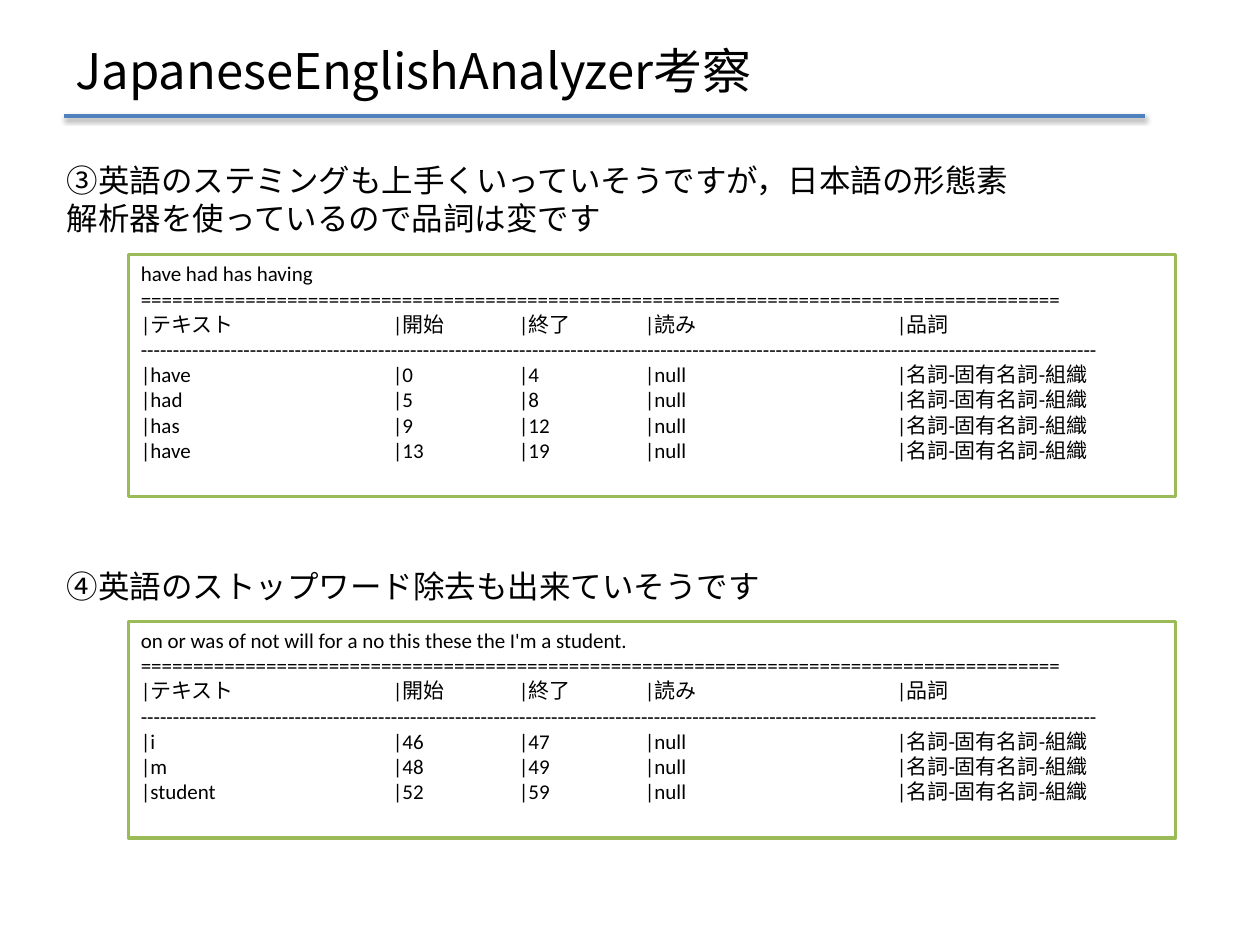
from dataclasses import dataclass

from lxml.etree import SubElement
from pptx import Presentation
from pptx.dml.color import RGBColor
from pptx.enum.shapes import MSO_CONNECTOR, MSO_SHAPE
from pptx.enum.text import MSO_ANCHOR, PP_ALIGN
from pptx.oxml.ns import qn
from pptx.util import Pt


@dataclass(frozen=True)
class Theme:
    """Hold the colours, fonts and type sizes."""
    ink: str = "000000"
    paper: str = "FFFFFF"
    rule: str = "4F81BD"
    frame: str = "9BBB59"
    latin: str = "Calibri"
    asian: str = "Noto Sans CJK JP"
    title: int = 28
    head: int = 18
    body: int = 12
    stroke: int = 2


def color(code):
    """Turn a hex code into a colour."""
    return RGBColor.from_string(code)


def write(frame, text, *, size, font, asian, ink, anchor=MSO_ANCHOR.TOP, tabs=()):
    """Fill a text frame with one paragraph per line of text."""
    frame.word_wrap = True
    frame.vertical_anchor = anchor
    for num, line in enumerate(text.split("\n")):
        para = frame.paragraphs[0] if num == 0 else frame.add_paragraph()
        para.alignment = PP_ALIGN.LEFT
        run = para.add_run()
        run.text = line
        run.font.size = Pt(size)
        run.font.name = font
        run.font.color.rgb = color(ink)
        SubElement(run.font._element, qn("a:ea"), typeface=asian)
        if tabs:
            stops = SubElement(para._p.get_or_add_pPr(), qn("a:tabLst"))
            for stop in tabs:
                SubElement(stops, qn("a:tab"), pos=str(Pt(stop)), algn="l")


class Deck:
    """Draw styled parts on the current slide."""

    def __init__(self, show, theme):
        """Add a blank slide and keep the theme."""
        self.slide = show.slides.add_slide(show.slide_layouts[6])
        self.theme = theme

    def text(self, words, left, top, width, height, **style):
        """Add a text box."""
        box = self.slide.shapes.add_textbox(Pt(left), Pt(top), Pt(width), Pt(height))
        write(box.text_frame, words, asian=self.theme.asian, ink=self.theme.ink, **style)

    def rule(self, left, right, top):
        """Add a level line with a soft shadow."""
        line = self.slide.shapes.add_connector(
            MSO_CONNECTOR.STRAIGHT, Pt(left), Pt(top), Pt(right), Pt(top))
        line.line.color.rgb = color(self.theme.rule)
        line.line.width = Pt(self.theme.stroke)
        effects = SubElement(line._element.spPr, qn("a:effectLst"))
        shade = SubElement(effects, qn("a:outerShdw"), blurRad=str(Pt(3.1)),
                           dist=str(Pt(1.6)), dir="5400000", rotWithShape="0")
        tint = SubElement(shade, qn("a:srgbClr"), val=self.theme.ink)
        SubElement(tint, qn("a:alpha"), val="38000")

    def panel(self, words, left, top, width, height, tabs):
        """Add a framed panel of tabbed text."""
        box = self.slide.shapes.add_shape(
            MSO_SHAPE.RECTANGLE, Pt(left), Pt(top), Pt(width), Pt(height))
        box.shadow.inherit = False
        box.fill.solid()
        box.fill.fore_color.rgb = color(self.theme.paper)
        box.line.color.rgb = color(self.theme.frame)
        box.line.width = Pt(self.theme.stroke)
        write(box.text_frame, words, size=self.theme.body, font=self.theme.latin,
              asian=self.theme.asian, ink=self.theme.ink, tabs=tabs)

    def result(self, head, top, height, query, rows):
        """Add a heading with its token listing below."""
        self.text(head, 31, top, 561.6, height,
                  size=self.theme.head, font=self.theme.latin)
        lines = [query, "=" * 88, "|テキスト\t|開始\t|終了\t|読み\t|品詞", "-" * 149]
        lines += [f"|{word}\t|{start}\t|{end}\t|null\t|名詞-固有名詞-組織"
                  for word, start, end in rows]
        self.panel("\n".join(lines), 73.4, top + height + 6, 598.3,
                   8.6 + 14.4 * (len(lines) + 1), tabs=(144, 216, 288, 432))


def main():
    """Build and save the slide."""
    show = Presentation()
    show.slide_width, show.slide_height = Pt(720), Pt(540)
    theme = Theme()
    deck = Deck(show, theme)
    deck.text("JapaneseEnglishAnalyzer考察", 36, 15, 588, 50,
              size=theme.title, font=theme.asian, anchor=MSO_ANCHOR.MIDDLE)
    deck.rule(36.7, 654.5, 66.2)
    deck.result(
        "③英語のステミングも上手くいっていそうですが，日本語の形態素解析器を使っているので品詞は変です",
        88.5, 51, "have had has having",
        [("have", 0, 4), ("had", 5, 8), ("has", 9, 12), ("have", 13, 19)])
    deck.result(
        "④英語のストップワード除去も出来ていそうです",
        320.2, 28.8, "on or was of not will for a no this these the I'm a student.",
        [("i", 46, 47), ("m", 48, 49), ("student", 52, 59)])
    show.save("out.pptx")


if __name__ == "__main__":
    main()
